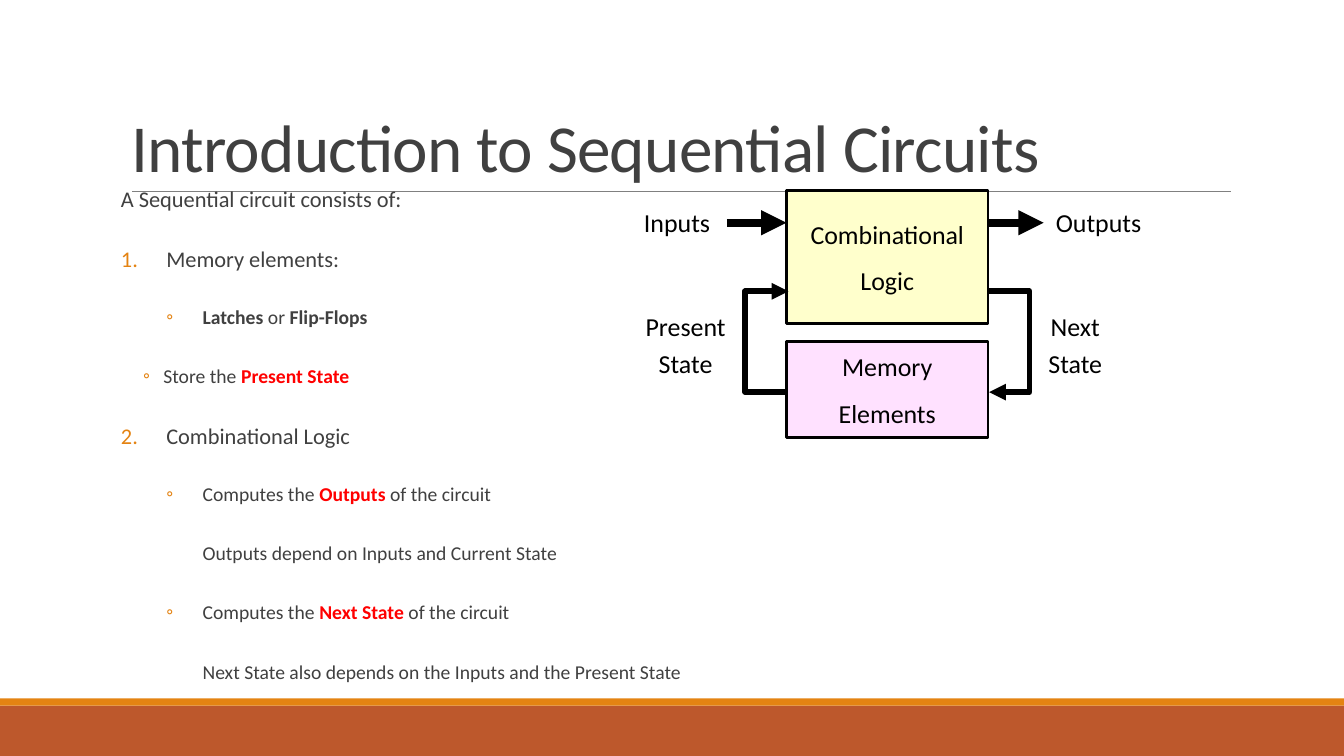
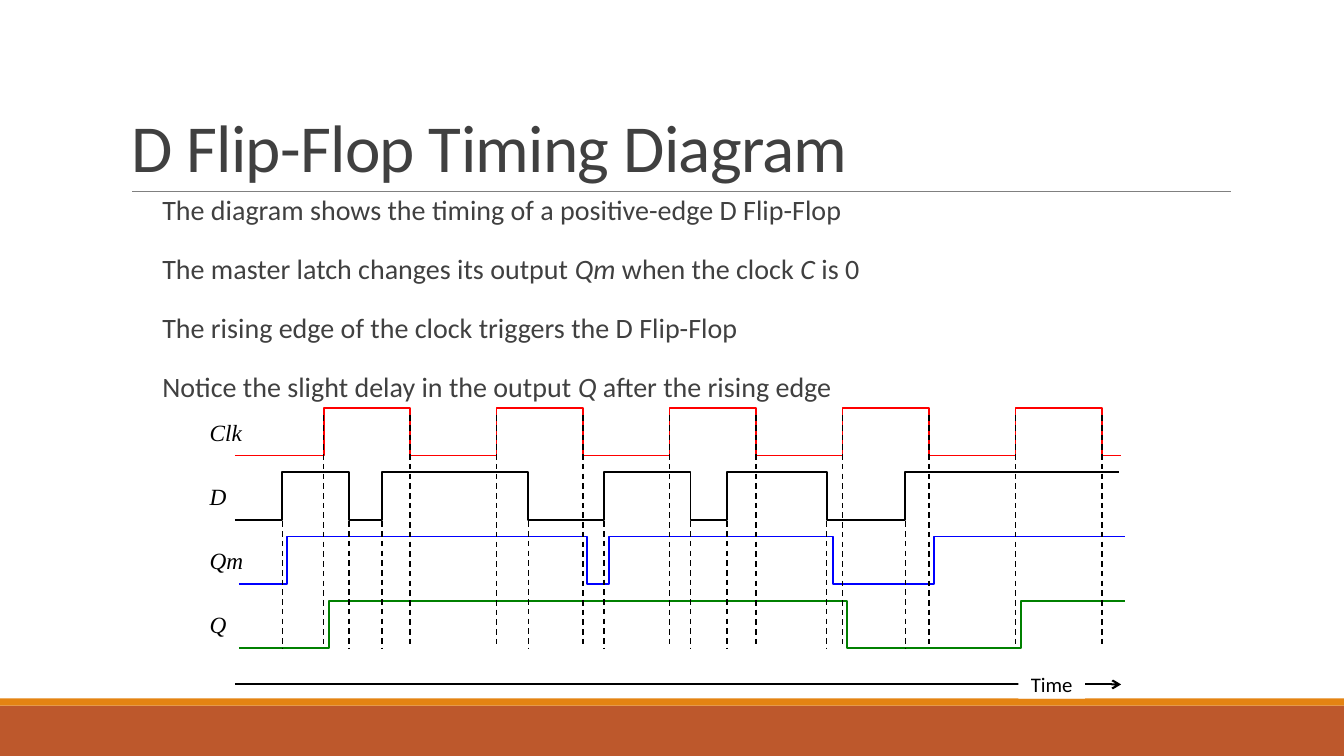
from dataclasses import dataclass
from typing import Optional, Sequence

import pptx
import pptx.dml.color
import pptx.enum.dml
import pptx.enum.shapes
import pptx.enum.text
import pptx.oxml.xmlchemy
import pptx.util

Inches, Pt = pptx.util.Inches, pptx.util.Pt
ALIGN, ANCHOR = pptx.enum.text.PP_ALIGN, pptx.enum.text.MSO_ANCHOR

SLIDE_WIDTH, SLIDE_HEIGHT = 13.33, 7.5
FONT = "Calibri"
GREY, BLACK, WHITE, RED = "404040", "000000", "FFFFFF", "FF0000"
RUST, ORANGE, RULE_GREY = "BD582C", "E48312", "808080"
BLUE, GREEN, YELLOW, PINK = "0000FF", "008000", "FFFFCC", "FFE1FF"
DIAGRAM_SIZE = 18.5
NUMBERED = "number"


@dataclass(frozen=True)
class Span:
    text: str
    bold: bool = False
    italic: bool = False
    color: Optional[str] = None


@dataclass(frozen=True)
class Para:
    spans: Sequence[Span]
    size: Optional[float] = None
    level: int = 0
    left: float = 0
    hanging: float = 0
    bullet: str = ""
    line_spacing: float = 1
    before: float = 0
    after: float = 0


@dataclass(frozen=True)
class Signal:
    """A two-level trace that starts low and toggles at every edge."""
    name: str
    color: str
    start: float
    edges: Sequence[float]
    end: float


def rgb(color: str):
    return pptx.dml.color.RGBColor.from_string(color)


def add_xml(parent, tag: str, **attributes: str):
    element = pptx.oxml.xmlchemy.OxmlElement(tag)
    for name, value in attributes.items():
        element.set(name, value)
    parent.append(element)
    return element


def set_bullet(para, bullet: str) -> None:
    properties = para._p.get_or_add_pPr()
    if not bullet:
        add_xml(properties, "a:buNone")
        return
    add_xml(add_xml(properties, "a:buClr"), "a:srgbClr", val=ORANGE)
    add_xml(properties, "a:buFont", typeface=FONT)
    if bullet == NUMBERED:
        add_xml(properties, "a:buAutoNum", type="arabicPeriod")
    else:
        add_xml(properties, "a:buChar", char=bullet)


def write_text(frame, paras: Sequence[Para], *, size: float, color: str = BLACK, font: str = FONT,
               align=ALIGN.LEFT, anchor=ANCHOR.MIDDLE, inset_x: float = 0, inset_y: float = 0,
               tracking: int = 0) -> None:
    frame.word_wrap = True
    frame.auto_size = pptx.enum.text.MSO_AUTO_SIZE.NONE
    frame.vertical_anchor = anchor
    frame.margin_left = frame.margin_right = Inches(inset_x)
    frame.margin_top = frame.margin_bottom = Inches(inset_y)
    for index, item in enumerate(paras):
        para = frame.add_paragraph() if index else frame.paragraphs[0]
        para.alignment, para.level = align, item.level
        para.line_spacing = item.line_spacing
        para.space_before = Pt(item.before if index else 0)
        para.space_after = Pt(item.after)
        properties = para._p.get_or_add_pPr()
        properties.set("marL", str(Inches(item.left)))
        properties.set("indent", str(-Inches(item.hanging)))
        set_bullet(para, item.bullet)
        for span in item.spans:
            run = para.add_run()
            run.text = span.text
            run.font.name, run.font.size = font, Pt(item.size or size)
            run.font.bold, run.font.italic = span.bold, span.italic
            run.font.color.rgb = rgb(span.color or color)
            if tracking:
                run.font._element.set("spc", str(tracking))


def add_text_box(slide, bounds: Sequence[float], paras: Sequence[Para], **text_format) -> None:
    box = slide.shapes.add_textbox(*map(Inches, bounds))
    write_text(box.text_frame, paras, **text_format)


def add_rectangle(slide, bounds: Sequence[float], fill: str, outline: str = ""):
    shape = slide.shapes.add_shape(pptx.enum.shapes.MSO_SHAPE.RECTANGLE, *map(Inches, bounds))
    shape.shadow.inherit = False
    shape.fill.solid()
    shape.fill.fore_color.rgb = rgb(fill)
    if outline:
        format_line(shape.line, outline, 2)
    else:
        shape.line.fill.background()
    return shape


def format_line(line, color: str, width: float, arrow: str = "", dashed: bool = False) -> None:
    line.color.rgb = rgb(color)
    line.width = Pt(width)
    if dashed:
        line.dash_style = pptx.enum.dml.MSO_LINE.DASH
    if arrow:
        add_xml(line._get_or_add_ln(), "a:tailEnd", type=arrow)


def add_line(slide, ends: Sequence[float], *, width: float, color: str = BLACK,
             arrow: str = "", dashed: bool = False) -> None:
    straight = pptx.enum.shapes.MSO_CONNECTOR.STRAIGHT
    connector = slide.shapes.add_connector(straight, *map(Inches, ends))
    format_line(connector.line, color, width, arrow, dashed)
    add_xml(connector._element.spPr, "a:effectLst")


def add_polyline(slide, points: Sequence[tuple[float, float]], *, width: float,
                 color: str = BLACK, arrow: str = "") -> None:
    corners = [(Inches(x), Inches(y)) for x, y in points]
    builder = slide.shapes.build_freeform(*corners[0])
    builder.add_line_segments(corners[1:], close=False)
    shape = builder.convert_to_shape()
    shape.shadow.inherit = False
    shape.fill.background()
    format_line(shape.line, color, width, arrow)


def plain_lines(lines: Sequence[str], spacing: float = 1) -> list[Para]:
    return [Para([Span(line)], line_spacing=spacing) for line in lines]


def add_titled_slide(deck, title: str):
    slide = deck.slides.add_slide(deck.slide_layouts[5])
    add_rectangle(slide, (0, 7, SLIDE_WIDTH, 0.5), RUST)
    add_rectangle(slide, (0, 6.93, SLIDE_WIDTH, 0.07), ORANGE)
    add_line(slide, (1.31, 1.9, 12.21, 1.9), width=0.5, color=RULE_GREY)
    holder = slide.shapes.title
    holder.left, holder.top, holder.width, holder.height = map(Inches, (1.2, 0.31, 11, 1.59))
    write_text(holder.text_frame, plain_lines([title], 0.85), size=48, color=GREY,
               anchor=ANCHOR.BOTTOM, inset_x=0.1, inset_y=0.05, tracking=-50)
    return slide


def topic(text: str, bullet: str = NUMBERED) -> Para:
    indent = 0.45 if bullet else 0
    return Para([Span(text)], left=indent, hanging=indent, bullet=bullet,
                line_spacing=0.9, before=23.1, after=2)


def detail(*spans: Span, bullet: str = "◦", left: float = 0.81, hanging: float = 0.36) -> Para:
    return Para(spans, size=14, level=1, left=left, hanging=hanging if bullet else 0,
                bullet=bullet, line_spacing=0.9, before=23.1, after=4)


def key_term(text: str) -> Span:
    return Span(text, bold=True, color=RED)


def add_circuit_diagram(slide) -> None:
    blocks = [
        ("Combinational", "Logic", (7.8, 1.89, 2, 1.32), YELLOW),
        ("Memory", "Elements", (7.8, 3.39, 2, 0.95), PINK),
    ]
    labels = [
        (["Inputs"], (6.26, 1.98, 0.91, 0.45)),
        (["Outputs"], (10.44, 1.98, 0.91, 0.45)),
        (["Next", "State"], (10.3, 3.02, 0.73, 0.74)),
        (["Present", "State"], (6.3, 3.02, 1, 0.74)),
    ]
    next_state = [(9.79, 2.89), (10.21, 2.89), (10.21, 3.89), (9.81, 3.89)]
    present_state = [(7.8, 3.89), (7.39, 3.89), (7.39, 2.89), (7.82, 2.89)]
    for first, second, bounds, fill in blocks:
        shape = add_rectangle(slide, bounds, fill, BLACK)
        write_text(shape.text_frame, plain_lines([first]) + plain_lines([second], 1.5),
                   size=DIAGRAM_SIZE, align=ALIGN.CENTER)
    for start, end in [(7.21, 7.8), (9.8, 10.35)]:
        add_line(slide, (start, 2.21, end, 2.21), width=6, arrow="triangle")
    for lines, bounds in labels:
        add_text_box(slide, bounds, plain_lines(lines, 1.2 if len(lines) > 1 else 1),
                     size=DIAGRAM_SIZE, align=ALIGN.CENTER)
    for wire in (next_state, present_state):
        add_polyline(slide, wire, width=4, arrow="triangle")


def build_introduction(deck) -> None:
    slide = add_titled_slide(deck, "Introduction to Sequential Circuits")
    paras = [
        topic("A Sequential circuit consists of:", bullet=""),
        topic("Memory elements:"),
        detail(Span("Latches", bold=True), Span(" or "), Span("Flip-Flops", bold=True)),
        detail(Span("Store the "), key_term("Present State"), left=0.42, hanging=0.2),
        topic("Combinational Logic"),
        detail(Span("Computes the "), key_term("Outputs"), Span(" of the circuit")),
        detail(Span("Outputs depend on Inputs and Current State"), bullet=""),
        detail(Span("Computes the "), key_term("Next State"), Span(" of the circuit")),
        detail(Span("Next State also depends on the Inputs and the Present State"), bullet=""),
    ]
    add_text_box(slide, (1.2, 1.82, 8.86, 5.68), paras, size=16, color=GREY,
                 anchor=ANCHOR.TOP, inset_y=0.05)
    add_circuit_diagram(slide)


def trace_points(signal: Signal, high: float, low: float) -> list[tuple[float, float]]:
    points = [(signal.start, low)]
    level, other = low, high
    for edge in signal.edges:
        points += [(edge, level), (edge, other)]
        level, other = other, level
    return points + [(signal.end, level)]


def add_timing_diagram(slide) -> None:
    first_top, row_pitch, swing = 4.05, 1.91 / 3, 0.47
    clock_edges = [3.21 + index * 7.72 / 9 for index in range(10)]
    data_edges = [2.8, 3.46, 3.79, 5.24, 5.99, 6.85, 7.21, 8.2, 8.98]
    signals = [
        Signal("Clk", RED, 2.33, clock_edges, 11.12),
        Signal("D", BLACK, 2.33, data_edges, 11.1),
        Signal("Qm", BLUE, 2.37, [2.85, 5.82, 6.04, 8.26, 9.26], 11.16),
        Signal("Q", GREEN, 2.37, [3.26, 8.4, 10.13], 11.16),
    ]
    for row, signal in enumerate(signals):
        top = first_top + row * row_pitch
        add_polyline(slide, trace_points(signal, top, top + swing), width=1.25, color=signal.color)
        add_text_box(slide, (2.08, top + 0.07, 0.45, 0.33), [Para([Span(signal.name, italic=True)])],
                     size=16.6, font="Times New Roman")
    for edges, guide_top in [(data_edges, 4.69), (clock_edges, 4.12)]:
        for edge in edges:
            add_line(slide, (edge, guide_top, edge, 6.43), width=1, dashed=True)
    add_line(slide, (2.33, 6.79, 11.12, 6.79), width=1.5, arrow="arrow")
    time_label = add_rectangle(slide, (10.1, 6.64, 0.66, 0.29), WHITE)
    write_text(time_label.text_frame, plain_lines(["Time"]), size=14.8, align=ALIGN.CENTER)


def build_timing(deck) -> None:
    slide = add_titled_slide(deck, "D Flip-Flop Timing Diagram")
    statements = [
        [Span("The diagram shows the timing of a positive-edge D Flip-Flop")],
        [Span("The master latch changes its output "), Span("Qm", italic=True),
         Span(" when the clock "), Span("C", italic=True), Span(" is 0")],
        [Span("The rising edge of the clock triggers the D Flip-Flop")],
        [Span("Notice the slight delay in the output "), Span("Q", italic=True),
         Span(" after the rising edge")],
    ]
    paras = [Para(spans, left=0.1, line_spacing=0.9, before=18.5, after=2) for spans in statements]
    add_text_box(slide, (1.51, 1.9, 9.18, 2.45), paras, size=20, color=GREY,
                 anchor=ANCHOR.TOP, inset_y=0.05)
    add_timing_diagram(slide)


def main() -> None:
    deck = pptx.Presentation()
    deck.slide_width, deck.slide_height = Inches(SLIDE_WIDTH), Inches(SLIDE_HEIGHT)
    build_introduction(deck)
    build_timing(deck)
    deck.save("out.pptx")


if __name__ == "__main__":
    main()
